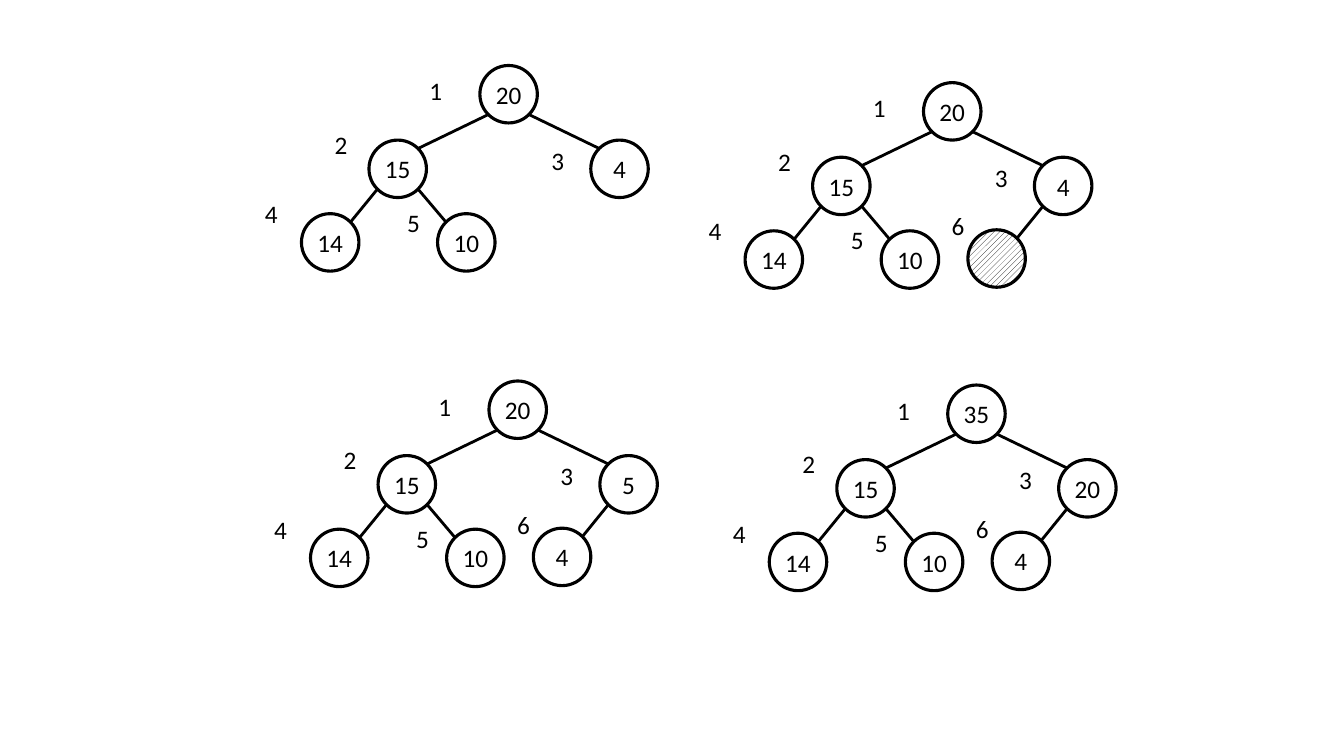
"""Draw four stages of inserting a key into a max heap."""
import math
from dataclasses import dataclass

import pptx
import pptx.dml.color
import pptx.enum.dml
import pptx.enum.shapes
import pptx.enum.text
import pptx.oxml
import pptx.oxml.ns
import pptx.util
from pptx.util import Inches


@dataclass(frozen=True)
class Theme:
    ink: pptx.dml.color.RGBColor = pptx.dml.color.RGBColor(0, 0, 0)
    paper: pptx.dml.color.RGBColor = pptx.dml.color.RGBColor(255, 255, 255)
    font: str = "Calibri"
    text_size: float = 18
    outline: float = 2.25
    edge: float = 2


@dataclass(frozen=True)
class Slot:
    node_x: float
    node_y: float
    index_x: float
    index_y: float


@dataclass(frozen=True)
class Heap:
    left: float
    top: float
    keys: tuple[str, ...]


THEME = Theme()
DIAMETER = 0.57
DIAGONAL_INSET = DIAMETER / 2 * (1 - math.sqrt(0.5))
INDEX_WIDTH, INDEX_HEIGHT = 0.33, 0.4
NEW_SLOT = 6
EMPTY = ""

SLOTS = {
    1: Slot(0, 0, -0.6, 0.05),
    2: Slot(-1.1, 0.74, -1.54, 0.58),
    3: Slot(1.1, 0.74, 0.61, 0.74),
    4: Slot(-1.77, 1.47, -2.23, 1.27),
    5: Slot(-0.42, 1.47, -0.82, 1.36),
    6: Slot(0.44, 1.46, 0.18, 1.22),
}
HEAPS = (
    Heap(4.76, 0.65, ("20", "15", "4", "14", "10")),
    Heap(9.16, 0.82, ("20", "15", "4", "14", "10", EMPTY)),
    Heap(4.85, 3.78, ("20", "15", "5", "14", "10", "4")),
    Heap(9.4, 3.82, ("35", "15", "20", "14", "10", "4")),
)


def write(frame: pptx.text.text.TextFrame, words: str) -> None:
    frame.text = words
    font = frame.paragraphs[0].runs[0].font
    font.name = THEME.font
    font.size = pptx.util.Pt(THEME.text_size)
    font.color.rgb = THEME.ink


def draw_node(shapes: pptx.shapes.shapetree.SlideShapes, heap: Heap, index: int, key: str) -> None:
    slot = SLOTS[index]
    node = shapes.add_shape(
        pptx.enum.shapes.MSO_SHAPE.OVAL,
        Inches(heap.left + slot.node_x), Inches(heap.top + slot.node_y),
        Inches(DIAMETER), Inches(DIAMETER),
    )
    node.shadow.inherit = False
    node.line.color.rgb = THEME.ink
    node.line.width = pptx.util.Pt(THEME.outline)
    if key == EMPTY:
        node.fill.patterned()
        node.fill.pattern = pptx.enum.dml.MSO_PATTERN.WIDE_UPWARD_DIAGONAL
        node.fill.fore_color.rgb = THEME.ink
        node.fill.back_color.rgb = THEME.paper
        return
    if index == NEW_SLOT:
        node.fill.background()
    else:
        node.fill.solid()
        node.fill.fore_color.rgb = THEME.paper
    frame = node.text_frame
    frame.margin_left = frame.margin_right = frame.margin_top = frame.margin_bottom = 0
    frame.vertical_anchor = pptx.enum.text.MSO_ANCHOR.MIDDLE
    write(frame, key)
    frame.paragraphs[0].alignment = pptx.enum.text.PP_ALIGN.CENTER


def draw_edge(shapes: pptx.shapes.shapetree.SlideShapes, heap: Heap, index: int) -> None:
    parent, child = SLOTS[index // 2], SLOTS[index]
    near, far = DIAGONAL_INSET, DIAMETER - DIAGONAL_INSET
    parent_side, child_side = (near, far) if index % 2 == 0 else (far, near)
    edge = shapes.add_connector(
        pptx.enum.shapes.MSO_CONNECTOR.STRAIGHT,
        Inches(heap.left + parent.node_x + parent_side), Inches(heap.top + parent.node_y + far),
        Inches(heap.left + child.node_x + child_side), Inches(heap.top + child.node_y + near),
    )
    edge.line.color.rgb = THEME.ink
    edge.line.width = pptx.util.Pt(THEME.edge)
    properties = edge._element.spPr
    properties.append(properties.makeelement(pptx.oxml.ns.qn("a:effectLst"), {}))


def draw_index(shapes: pptx.shapes.shapetree.SlideShapes, heap: Heap, index: int) -> None:
    slot = SLOTS[index]
    label = shapes.add_textbox(
        Inches(heap.left + slot.index_x), Inches(heap.top + slot.index_y),
        Inches(INDEX_WIDTH), Inches(INDEX_HEIGHT),
    )
    write(label.text_frame, str(index))
    label.text_frame.word_wrap = False
    label.text_frame.auto_size = pptx.enum.text.MSO_AUTO_SIZE.SHAPE_TO_FIT_TEXT


def draw_heap(shapes: pptx.shapes.shapetree.SlideShapes, heap: Heap) -> None:
    for index, key in enumerate(heap.keys, start=1):
        draw_node(shapes, heap, index, key)
        if index > 1:
            draw_edge(shapes, heap, index)
        draw_index(shapes, heap, index)


def main() -> None:
    deck = pptx.Presentation()
    deck.slide_width, deck.slide_height = Inches(13.33), Inches(7.5)
    slide = deck.slides.add_slide(deck.slide_layouts[6])
    for heap in HEAPS:
        draw_heap(slide.shapes, heap)
    deck.save("out.pptx")


if __name__ == "__main__":
    main()
